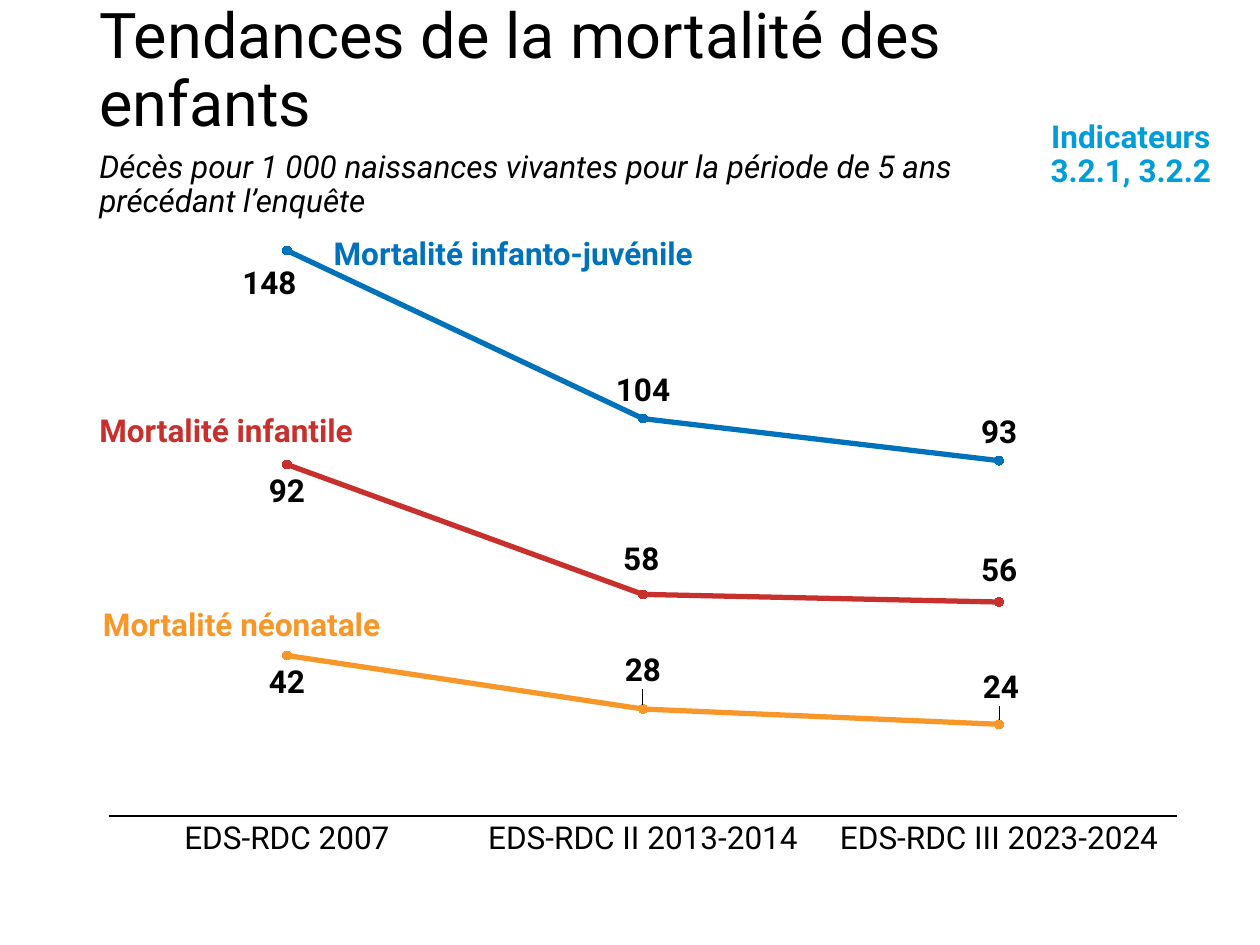
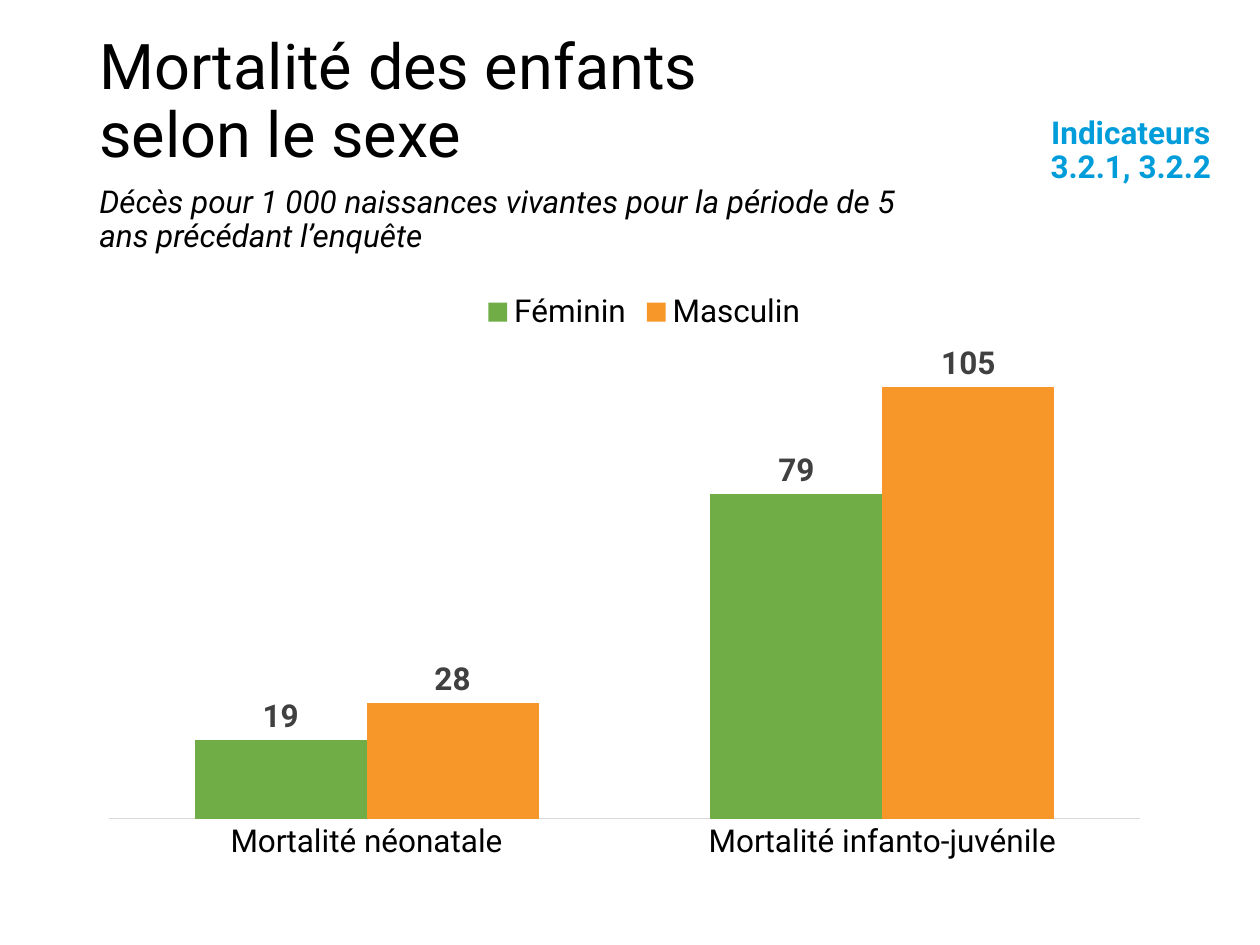
from lxml import etree
from pptx import Presentation
from pptx import util as u
from pptx.chart import data
from pptx.dml import color
from pptx.enum import chart as kinds, text
from pptx.oxml import ns

Pt = u.Pt
COLOURS = {
    "ink": "000000",
    "label": "404040",
    "axis": "D9D9D9",
    "indicator": "009DDA",
    "blue": "0071BB",
    "red": "C7302D",
    "orange": "F89729",
    "green": "70AD47",
}
FONT = "Roboto"
LEFT = 49.7
SUBTITLE = ("Décès pour 1 000 naissances vivantes pour la période de 5 ans "
            "précédant l’enquête")
ABOVE = kinds.XL_LABEL_POSITION.ABOVE
BELOW = kinds.XL_LABEL_POSITION.BELOW
OUTSIDE = kinds.XL_LABEL_POSITION.OUTSIDE_END


def rgb(name):
    return color.RGBColor.from_string(COLOURS[name])


def set_layout(parent, index, **settings):
    for old in parent.findall(ns.qn("c:layout")):
        parent.remove(old)
    layout = etree.Element(ns.qn("c:layout"))
    manual = etree.SubElement(layout, ns.qn("c:manualLayout"))
    for tag, value in settings.items():
        etree.SubElement(manual, ns.qn(f"c:{tag}")).set("val", str(value))
    parent.insert(index, layout)


class Builder:
    def __init__(self):
        self.deck = Presentation()
        self.deck.slide_width = Pt(720)
        self.deck.slide_height = Pt(540)
        self.page = None

    def new_page(self):
        self.page = self.deck.slides.add_slide(self.deck.slide_layouts[6])

    def style(self, font, size=18, ink="ink", bold=False, italic=False):
        font.name = FONT
        font.size = Pt(size)
        font.bold = bold
        font.italic = italic
        font.color.rgb = rgb(ink)

    def text_box(self, area, lines, spacing=0.9, middle=False, centred=False, **look):
        box = self.page.shapes.add_textbox(*(Pt(length) for length in area))
        frame = box.text_frame
        frame.word_wrap = True
        frame.vertical_anchor = (text.MSO_ANCHOR.MIDDLE if middle
                                 else text.MSO_ANCHOR.TOP)
        para = frame.paragraphs[0]
        para.line_spacing = spacing
        para.alignment = text.PP_ALIGN.CENTER if centred else text.PP_ALIGN.LEFT
        for number, line in enumerate(lines):
            if number:
                para.add_line_break()
            span = para.add_run()
            span.text = line
            self.style(span.font, **look)

    def heading(self, lines, top, width, height, subtitle_width, indicator_top):
        self.text_box((LEFT, top, width, height), lines, middle=True, size=36)
        self.text_box((LEFT, top + height, subtitle_width, 46.8), [SUBTITLE],
                      italic=True)
        self.text_box((583.9, indicator_top, 124.6, 33.1),
                      ["Indicateurs 3.2.1, 3.2.2"],
                      centred=True, ink="indicator", bold=True)

    def series_name(self, name, left, top, width, ink):
        self.text_box((left, top, width, 30.2), [name], spacing=1, middle=True,
                      ink=ink, bold=True)

    def chart(self, kind, area, categories, series, top_value, plot, axis_ink):
        source = data.CategoryChartData(number_format="0")
        source.categories = categories
        for name, values in series:
            source.add_series(name, values)
        chart = self.page.shapes.add_chart(
            kind, *(Pt(length) for length in area), source).chart
        chart.has_title = False
        chart.has_legend = False
        self.style(chart.font)
        chart.plots[0].vary_by_categories = False
        value_axis = chart.value_axis
        value_axis.minimum_scale = 0
        value_axis.maximum_scale = top_value
        value_axis.has_major_gridlines = False
        value_axis.visible = False
        axis = chart.category_axis
        axis.major_tick_mark = kinds.XL_TICK_MARK.NONE
        axis.minor_tick_mark = kinds.XL_TICK_MARK.NONE
        axis.format.line.color.rgb = rgb(axis_ink)
        axis.format.line.width = Pt(0.75)
        self.style(axis.tick_labels.font)
        x, y, w, h = plot
        plot_area = chart.plots[0]._element.getparent()
        set_layout(plot_area, 0, layoutTarget="inner", xMode="edge",
                   yMode="edge", x=x, y=y, w=w, h=h)
        return chart

    def value_labels(self, series, position, ink="ink"):
        labels = series.data_labels
        labels.show_value = True
        labels.position = position
        self.style(labels.font, ink=ink, bold=True)

    def move_label(self, series, index, position, right, down, area):
        label = series.points[index].data_label
        self.style(label.font, bold=True)
        label.position = position
        element = series.data_labels._element.xpath(
            f"c:dLbl[c:idx/@val='{index}']")[0]
        set_layout(element, 1, x=round(right / area[2], 4),
                   y=round(down / area[3], 4))

    def trend_line(self, series, ink, position):
        series.smooth = False
        series.format.line.color.rgb = rgb(ink)
        series.format.line.width = Pt(3)
        marker = series.marker
        marker.style = kinds.XL_MARKER_STYLE.CIRCLE
        marker.size = 5
        marker.format.fill.solid()
        marker.format.fill.fore_color.rgb = rgb(ink)
        marker.format.line.color.rgb = rgb(ink)
        self.value_labels(series, position)

    def legend(self, chart, x, y):
        chart.has_legend = True
        legend = chart.legend
        legend.position = kinds.XL_LEGEND_POSITION.BOTTOM
        legend.include_in_layout = False
        self.style(legend.font)
        set_layout(legend._element, 1, xMode="edge", yMode="edge", x=x, y=y)


def trends_page(builder):
    builder.new_page()
    builder.heading(["Tendances de la mortalité des enfants"], 0, 540.7, 82.8,
                    540.7, 65.5)
    area = (LEFT, 127.4, 629.3, 380.9)
    names = ["Mortalité néonatale", "Mortalité infantile",
             "Mortalité infanto-juvénile"]
    values = [(42, 28, 24), (92, 58, 56), (148, 104, 93)]
    inks = ["orange", "red", "blue"]
    chart = builder.chart(
        kinds.XL_CHART_TYPE.LINE_MARKERS, area,
        ["EDS-RDC 2007", "EDS-RDC II 2013-2014", "EDS-RDC III 2023-2024"],
        zip(names, values), 150, (0.02, 0.03, 0.97, 0.86), "ink")
    lines = list(chart.plots[0].series)
    for line, ink, position in zip(lines, inks, [BELOW, BELOW, ABOVE]):
        builder.trend_line(line, ink, position)
    for row, index, position, right, down in [
        (0, 1, ABOVE, 0, -6),
        (0, 2, ABOVE, 1, -5),
        (1, 1, ABOVE, -1, -4),
        (1, 2, ABOVE, 0, -2),
        (2, 0, BELOW, -10, 3.5),
    ]:
        builder.move_label(lines[row], index, position, right, down, area)
    places = [(51.8, 341.3, 218.9), (LEFT, 230.4, 176.4), (183.6, 129.6, 247)]
    for name, place, ink in zip(names, places, inks):
        builder.series_name(name, *place, ink)


def sex_page(builder):
    builder.new_page()
    builder.heading(["Mortalité des enfants", "selon le sexe"], 14.4, 499, 88.6,
                    487.4, 63.4)
    chart = builder.chart(
        kinds.XL_CHART_TYPE.COLUMN_CLUSTERED, (LEFT, 149.8, 620.6, 361.4),
        ["Mortalité néonatale", "Mortalité infanto-juvénile"],
        [("Féminin", (19, 79)), ("Masculin", (28, 105))], 120,
        (0.02, 0.1, 0.95, 0.78), "axis")
    bars = chart.plots[0]
    bars.gap_width = 100
    bars.overlap = 0
    for series, ink in zip(bars.series, ["green", "orange"]):
        series.format.fill.solid()
        series.format.fill.fore_color.rgb = rgb(ink)
        builder.value_labels(series, OUTSIDE, "label")
    builder.legend(chart, 0.36, 0.04)


def main():
    builder = Builder()
    trends_page(builder)
    sex_page(builder)
    builder.deck.save("out.pptx")


if __name__ == "__main__":
    main()
